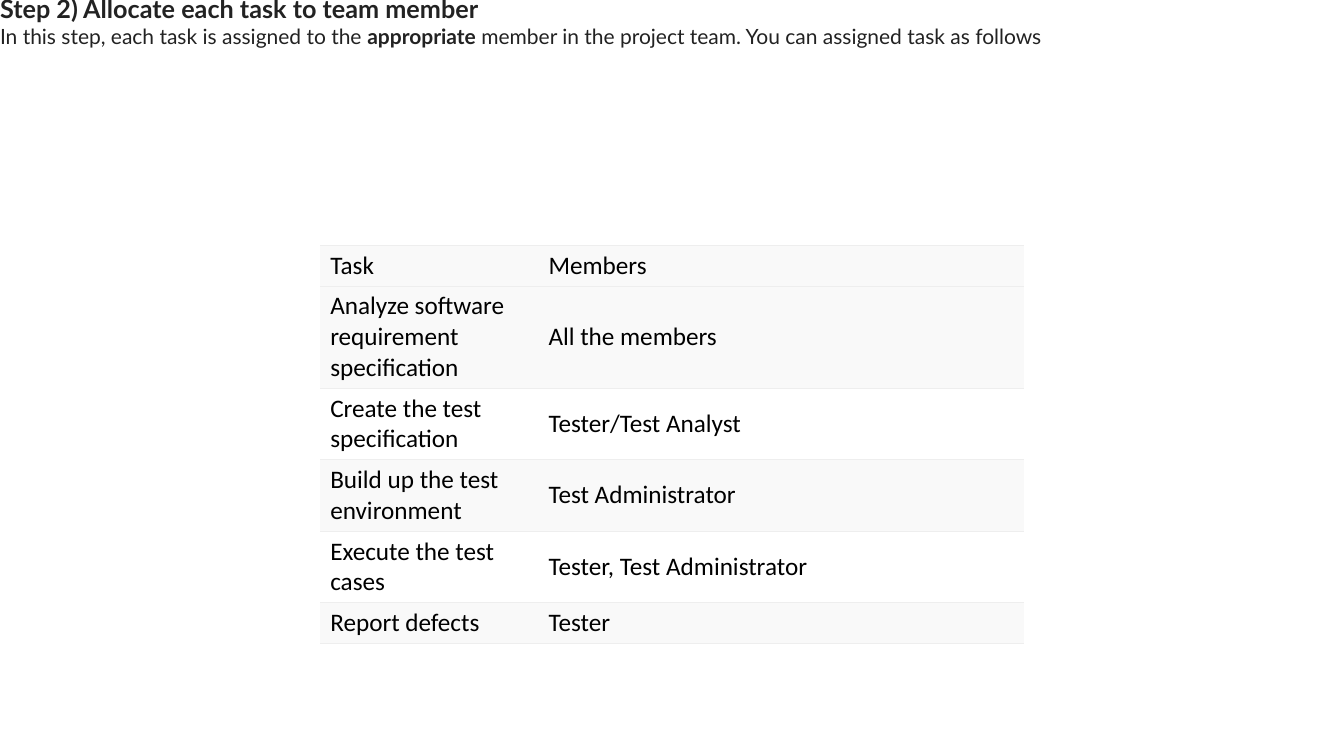
from dataclasses import dataclass

import pptx
import pptx.dml.color
import pptx.enum.text
import pptx.oxml.ns
import pptx.util
from lxml import etree

Cm = pptx.util.Cm
Pt = pptx.util.Pt
RGB = pptx.dml.color.RGBColor.from_string
MIDDLE = pptx.enum.text.MSO_ANCHOR.MIDDLE


@dataclass(frozen=True)
class Theme:
    """Colours, fonts and type sizes of the slide."""
    white: str = "FFFFFF"
    band: str = "F9F9F9"
    rule: str = "EEEEEE"
    heading: str = "222222"
    cell: str = "000000"
    heading_font: str = "Lato"
    cell_font: str = "Calibri"
    large: float = 18
    small: float = 15
    rule_width: float = 0.6


THEME = Theme()

HEADING = [
    (THEME.large, [("Step 2) Allocate each task to team member", True)]),
    (THEME.small, [
        ("In this step, each task is assigned to the ", False),
        ("appropriate", True),
        (" member in the project team. You can assigned task as follows", False),
    ]),
]

TASKS = [
    ("Task", "Members", 1, THEME.band),
    ("Analyze software requirement specification", "All the members", 3, THEME.band),
    ("Create the test specification", "Tester/Test Analyst", 2, THEME.white),
    ("Build up the test environment", "Test Administrator", 2, THEME.band),
    ("Execute the test cases", "Tester, Test Administrator", 2, THEME.white),
    ("Report defects", "Tester", 1, THEME.band),
]


def add_run(p, text, font, size, color, bold=False):
    """Append one formatted run to a paragraph."""
    r = p.add_run()
    r.text = text
    r.font.name = font
    r.font.size = Pt(size)
    r.font.bold = bold
    r.font.color.rgb = RGB(color)


def set_borders(cell):
    """Draw thin rules above and below a cell and none at its sides."""
    tcPr = cell._tc.get_or_add_tcPr()
    qn = pptx.oxml.ns.qn
    for side in "LRTB":
        ln = etree.SubElement(tcPr, qn(f"a:ln{side}"), w=str(Pt(THEME.rule_width)))
        if side in "LR":
            etree.SubElement(ln, qn("a:noFill"))
        else:
            fill = etree.SubElement(ln, qn("a:solidFill"))
            etree.SubElement(fill, qn("a:srgbClr"), val=THEME.rule)


def fill_heading(sp, x, y, w, h):
    """Place the title with its introductory line in the given box."""
    sp.left, sp.top, sp.width, sp.height = x, y, w, h
    sp.fill.solid()
    sp.fill.fore_color.rgb = RGB(THEME.white)
    tf = sp.text_frame
    tf.word_wrap = False
    tf.auto_size = pptx.enum.text.MSO_AUTO_SIZE.SHAPE_TO_FIT_TEXT
    tf.vertical_anchor = MIDDLE
    tf.margin_left = tf.margin_top = tf.margin_right = 0
    tf.margin_bottom = Cm(0.23)
    for i, (size, runs) in enumerate(HEADING):
        p = tf.add_paragraph() if i else tf.paragraphs[0]
        p.alignment = pptx.enum.text.PP_ALIGN.LEFT
        for text, bold in runs:
            add_run(p, text, THEME.heading_font, size, THEME.heading, bold)


def add_task_table(s, x, y, w, h):
    """Place the table of tasks and members in the given box."""
    table = s.shapes.add_table(len(TASKS), 2, x, y, w, h).table
    table.first_row = table.horz_banding = False
    table.columns[0].width = int(w * 0.31)
    table.columns[1].width = w - table.columns[0].width
    padding = Cm(0.25)
    line = (h - len(TASKS) * padding) / sum(lines for _, _, lines, _ in TASKS)
    for i, (task, members, lines, color) in enumerate(TASKS):
        table.rows[i].height = int(lines * line + padding)
        for cell, text in zip(table.rows[i].cells, (task, members)):
            set_borders(cell)
            cell.fill.solid()
            cell.fill.fore_color.rgb = RGB(color)
            cell.vertical_anchor = MIDDLE
            add_run(cell.text_frame.paragraphs[0], text,
                    THEME.cell_font, THEME.large, THEME.cell)


def main():
    """Build the slide and save it."""
    prs = pptx.Presentation()
    prs.slide_width, prs.slide_height = Cm(33.87), Cm(19.05)
    s = prs.slides.add_slide(prs.slide_layouts[5])
    fill_heading(s.shapes.title, 0, 0, prs.slide_width, Cm(1.27))
    add_task_table(s, Cm(8.07), Cm(6.18), Cm(17.74), Cm(10.03))
    prs.save("out.pptx")


if __name__ == "__main__":
    main()
